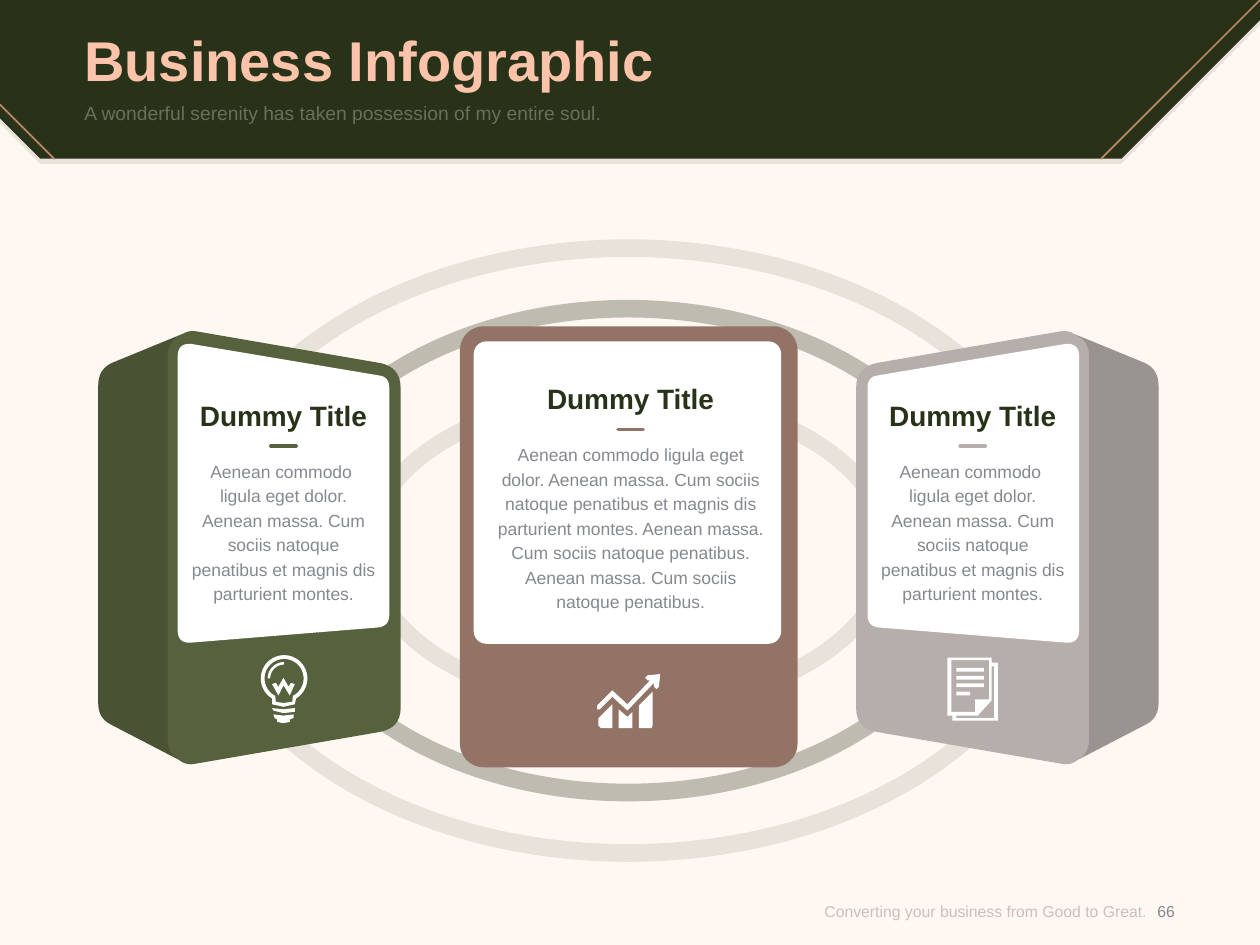
from math import cos, radians, sin

from lxml.etree import SubElement
from pptx import Presentation
from pptx.dml.color import RGBColor
from pptx.enum.shapes import MSO_CONNECTOR, MSO_SHAPE
from pptx.enum.text import MSO_ANCHOR, PP_ALIGN
from pptx.oxml.ns import qn
from pptx.util import Cm, Pt

COLOURS = {
    "background": "FFF7F2", "dark": "283218", "peach": "FBC4AA", "copper": "B98763",
    "green": "56613D", "brown": "927365", "grey": "B6AEAB", "white": "FFFFFF",
    "black": "000000", "body": "85898F", "footer": "8C8C8C",
}
MIRROR_WIDTH = 9.975

HEADER = [(8.9, 1.26), (0.32, 1.26), (0, 0.94), (0, 0), (10, 0), (10, 0.16)]
BACK_CORNERS = [
    ((0.88, 5.75), (0.78, 5.7), (0.78, 5.58)),
    ((0.78, 3.06), (0.78, 2.93), (0.89, 2.88)),
]
BOX_CORNERS = [
    ((1.45, 2.65), (1.5, 2.62), (1.56, 2.63)),
    ((3.01, 2.88), (3.18, 2.91), (3.18, 3.08)),
    ((3.18, 5.62), (3.18, 5.78), (3.01, 5.81)),
    ((1.56, 6.06), (1.48, 6.08), (1.42, 6.03)),
] + BACK_CORNERS
SIDE_CORNERS = [
    ((1.45, 2.65), (1.33, 2.7), (1.33, 2.83)),
    ((1.33, 5.86), (1.33, 5.98), (1.42, 6.03)),
] + BACK_CORNERS
PANEL_CORNERS = [
    ((1.41, 5), (1.41, 5.11), (1.52, 5.1)),
    ((3, 4.98), (3.09, 4.97), (3.09, 4.88)),
    ((3.09, 3.08), (3.09, 2.99), (3.01, 2.98)),
    ((1.52, 2.73), (1.41, 2.72), (1.41, 2.83)),
]

CENTRE_TEXT = ["Aenean commodo ligula eget dolor. Aenean massa. Cum sociis natoque penatibus "
               "et magnis dis parturient montes. Aenean massa. Cum sociis natoque penatibus. "
               "Aenean massa. Cum sociis natoque penatibus."]
SIDE_TEXT = ["Aenean commodo ", "ligula eget dolor. Aenean massa. Cum sociis natoque penatibus "
             "et magnis dis parturient montes."]


def length(inches):
    return Cm(inches * 2.54)


def paint(fill, element, colour, alpha=100):
    fill.solid()
    fill.fore_color.rgb = RGBColor.from_string(COLOURS[colour])
    if alpha < 100:
        for node in element.iter(qn("a:srgbClr")):
            SubElement(node, qn("a:alpha")).set("val", str(alpha * 1000))


def finish(shape, colour, alpha=100):
    shape.shadow.inherit = False
    paint(shape.fill, shape._element.spPr, colour, alpha)
    shape.line.fill.background()


def add_preset(slide, kind, box, adjustment, colour, alpha=100):
    shape = slide.shapes.add_shape(kind, *map(length, box))
    shape.adjustments[0] = adjustment / min(box[2:])
    finish(shape, colour, alpha)


def add_outline(slide, contours, colour, alpha=100):
    scaled = [[(length(x), length(y)) for x, y in contour] for contour in contours]
    builder = slide.shapes.build_freeform(*scaled[0][0])
    for index, contour in enumerate(scaled):
        if index:
            builder.move_to(*contour[0])
        builder.add_line_segments(contour[1:], close=True)
    finish(builder.convert_to_shape(), colour, alpha)


def add_rule(slide, start, end, colour, width):
    connector = slide.shapes.add_connector(
        MSO_CONNECTOR.STRAIGHT, *map(length, start + end))
    connector.line.width = Pt(width)
    connector.line.color.rgb = RGBColor.from_string(COLOURS[colour])
    connector.line._get_or_add_ln().set("cap", "rnd")
    SubElement(connector._element.spPr, qn("a:effectLst"))


def add_text(slide, box, lines, size, colour, align=PP_ALIGN.CENTER, alpha=100,
             bold=False, anchor=MSO_ANCHOR.TOP, spacing=None):
    frame = slide.shapes.add_textbox(*map(length, box)).text_frame
    frame.word_wrap = True
    frame.vertical_anchor = anchor
    frame.margin_left = frame.margin_right = frame.margin_top = frame.margin_bottom = 0
    paragraph = frame.paragraphs[0]
    paragraph.alignment = align
    if spacing:
        paragraph.line_spacing = Pt(spacing)
    for index, line in enumerate(lines):
        if index:
            paragraph.add_line_break()
        run = paragraph.add_run()
        run.text = line
        run.font.name = "Arial"
        run.font.size = Pt(size)
        run.font.bold = bold
        paint(run.font.fill, run._r, colour, alpha)


def round_off(corners, steps=8):
    points = []
    for start, control, end in corners:
        for step in range(steps + 1):
            t = step / steps
            points.append(tuple((1 - t) ** 2 * a + 2 * t * (1 - t) * b + t * t * c
                                for a, b, c in zip(start, control, end)))
    return points


def arc(centre, radius, start, end, steps=40):
    angles = [radians(start + (end - start) * step / steps) for step in range(steps + 1)]
    return [(centre[0] + radius * cos(a), centre[1] + radius * sin(a)) for a in angles]


def rectangle(left, top, right, bottom):
    return [(left, top), (right, top), (right, bottom), (left, bottom)]


def add_header(slide):
    add_outline(slide, [[(x, y + 0.04 if y else 0.04) for x, y in HEADER]], "dark", 10)
    add_outline(slide, [HEADER], "dark")
    add_rule(slide, (10, 0), (8.74, 1.26), "copper", 1)
    add_rule(slide, (0, 0.83), (0.43, 1.26), "copper", 1)
    add_text(slide, (0.67, 0.14, 8.66, 0.65), ["Business Infographic"], 32, "peach",
             PP_ALIGN.LEFT, bold=True, anchor=MSO_ANCHOR.MIDDLE)
    add_text(slide, (0.67, 0.8, 8.66, 0.39),
             ["A wonderful serenity has taken possession of my entire soul."],
             11, "white", PP_ALIGN.LEFT, alpha=30)


def add_card_text(slide, left, top, width, height, lines, accent):
    middle = left + width / 2
    add_text(slide, (left, top, width, 0.27), ["Dummy Title"], 16, "dark", bold=True)
    add_rule(slide, (middle - 0.1, top + 0.38), (middle + 0.1, top + 0.38), accent, 2)
    add_text(slide, (left, top + 0.47, width, height), lines, 10, "body", spacing=14)


def add_side_card(slide, colour, mirrored):
    for corners, fill, alpha in ((BOX_CORNERS, colour, 100), (PANEL_CORNERS, "white", 100),
                                 (SIDE_CORNERS, "black", 15)):
        points = round_off(corners)
        if mirrored:
            points = [(MIRROR_WIDTH - x, y) for x, y in points]
        add_outline(slide, [points], fill, alpha)
    left = 6.98 if mirrored else 1.51
    add_card_text(slide, left, 3.16, 1.48, 1.18, SIDE_TEXT, colour)


def add_centre_card(slide):
    add_preset(slide, MSO_SHAPE.ROUNDED_RECTANGLE, (3.65, 2.59, 2.68, 3.5), 0.19, "brown")
    add_preset(slide, MSO_SHAPE.ROUNDED_RECTANGLE, (3.76, 2.71, 2.44, 2.4), 0.1, "white")
    add_card_text(slide, 3.94, 3.03, 2.13, 1.37, CENTRE_TEXT, "brown")


def add_bulb_icon(slide):
    centre = (2.255, 5.385)
    glass = arc(centre, 0.185, 121, 419) + [(2.34, 5.59), (2.25, 5.61), (2.16, 5.59)]
    hollow = arc(centre, 0.155, 117, 423) + [(2.32, 5.57), (2.25, 5.58), (2.19, 5.57)]
    shine = arc(centre, 0.13, 180, 270) + arc(centre, 0.11, 270, 180)
    filament = [(2.29, 5.45), (2.25, 5.38), (2.21, 5.45), (2.19, 5.42), (2.16, 5.43),
                (2.21, 5.52), (2.25, 5.44), (2.3, 5.52), (2.34, 5.43), (2.31, 5.42)]
    collar = [(2.16, 5.62), (2.17, 5.64), (2.25, 5.66), (2.34, 5.65), (2.34, 5.62), (2.25, 5.63)]
    cap = [(2.17, 5.67), (2.18, 5.7), (2.2, 5.71), (2.2, 5.73), (2.25, 5.74), (2.3, 5.73),
           (2.3, 5.71), (2.33, 5.7), (2.33, 5.67), (2.25, 5.68)]
    add_outline(slide, [glass, hollow, shine, filament, collar, cap], "white")


def add_growth_icon(slide):
    arrow = [(5.14, 5.36), (5.12, 5.38), (5.14, 5.4), (5.16, 5.4), (4.98, 5.59), (4.86, 5.48),
             (4.74, 5.6), (4.74, 5.63), (4.76, 5.63), (4.86, 5.53), (4.98, 5.64), (5.19, 5.42),
             (5.19, 5.45), (5.21, 5.47), (5.23, 5.45), (5.24, 5.35)]
    bars = [
        [(4.75, 5.7), (4.86, 5.59), (4.86, 5.78), (4.77, 5.78), (4.75, 5.76)],
        [(4.91, 5.63), (4.98, 5.69), (5.02, 5.65), (5.02, 5.78), (4.91, 5.78)],
        [(5.07, 5.6), (5.18, 5.49), (5.18, 5.76), (5.17, 5.78), (5.07, 5.78)],
    ]
    add_outline(slide, [arrow] + bars, "white")


def add_document_icon(slide):
    lines = [rectangle(7.59, top, right, top + 0.03)
             for top, right in ((5.3, 7.81), (5.365, 7.81), (5.425, 7.81), (5.49, 7.7))]
    pages = [(7.87, 5.26), (7.87, 5.22), (7.52, 5.22), (7.52, 5.68), (7.56, 5.68),
             (7.56, 5.72), (7.92, 5.72), (7.92, 5.26)]
    front = [(7.55, 5.65), (7.55, 5.24), (7.85, 5.24), (7.85, 5.55), (7.74, 5.55), (7.74, 5.65)]
    back = [(7.89, 5.29), (7.89, 5.7), (7.59, 5.7), (7.59, 5.68), (7.76, 5.68),
            (7.87, 5.56), (7.87, 5.29)]
    add_outline(slide, [pages, front, back] + lines, "white")


def main():
    presentation = Presentation()
    presentation.slide_width = Cm(25.4)
    presentation.slide_height = Cm(19.05)
    slide = presentation.slides.add_slide(presentation.slide_layouts[6])
    slide.background.fill.solid()
    slide.background.fill.fore_color.rgb = RGBColor.from_string(COLOURS["background"])
    add_header(slide)
    for width, height, alpha in ((7.02, 4.94, 10), (4.27, 2.61, 10), (5.65, 3.98, 30)):
        box = (4.985 - width / 2, 4.37 - height / 2, width, height)
        add_preset(slide, MSO_SHAPE.DONUT, box, 0.14, "dark", alpha)
    add_centre_card(slide)
    add_side_card(slide, "grey", True)
    add_side_card(slide, "green", False)
    add_document_icon(slide)
    add_growth_icon(slide)
    add_bulb_icon(slide)
    add_text(slide, (6.04, 6.96, 3.06, 0.54), ["Converting your business from Good to Great."],
             9, "footer", PP_ALIGN.RIGHT, alpha=50, anchor=MSO_ANCHOR.MIDDLE)
    add_text(slide, (9.02, 6.96, 0.47, 0.54), ["66"], 9, "body", anchor=MSO_ANCHOR.MIDDLE)
    presentation.save("out.pptx")


if __name__ == "__main__":
    main()
